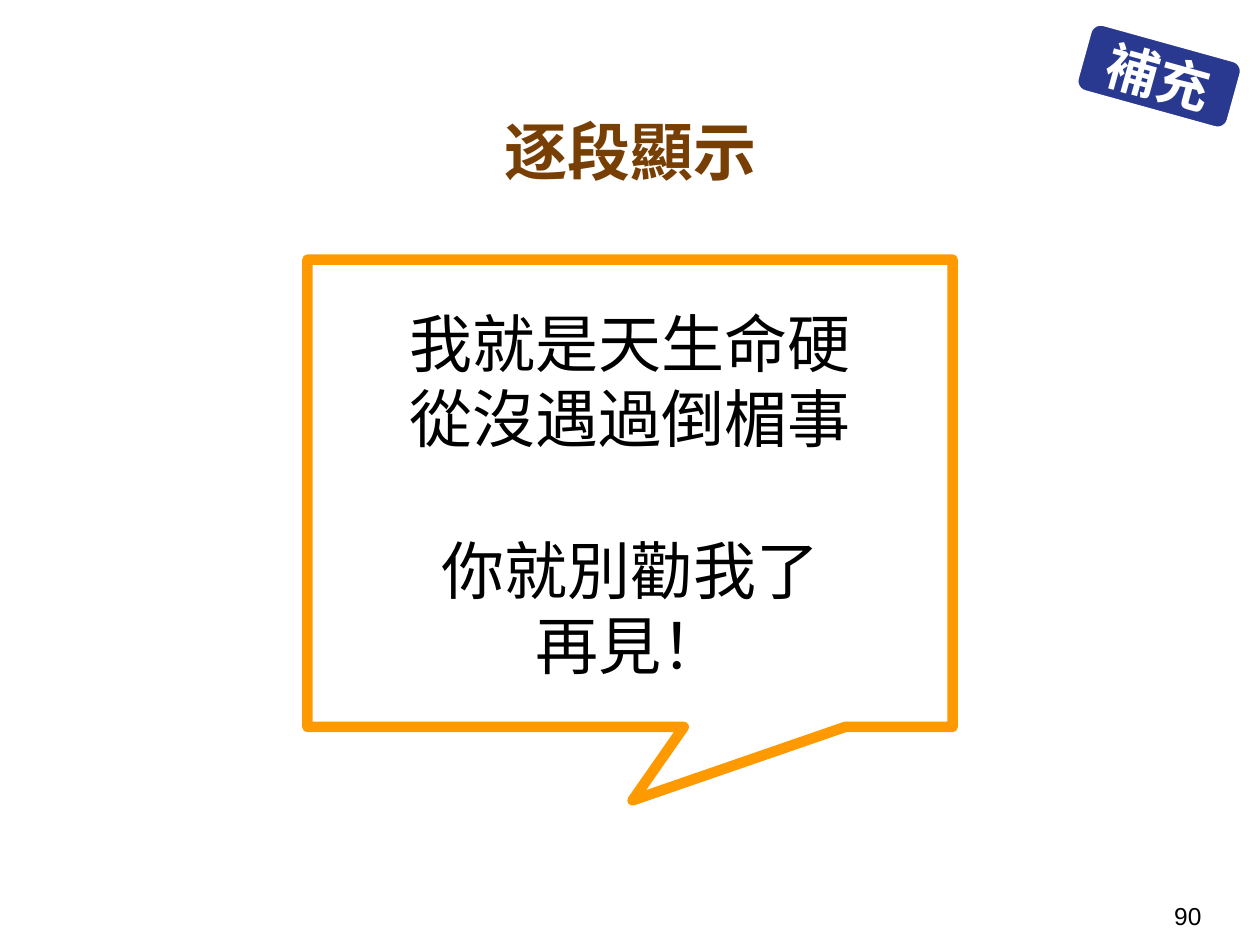
from dataclasses import dataclass

from lxml.etree import SubElement
from pptx import Presentation
from pptx.dml.color import RGBColor
from pptx.enum.shapes import MSO_SHAPE
from pptx.enum.text import MSO_ANCHOR, PP_ALIGN
from pptx.oxml.ns import qn
from pptx.util import Inches, Pt

TITLE = "逐段顯示"
BADGE = "補充"
PAGE_NUMBER = "90"
VERSES = [
    ["我就是天生命硬", "從沒遇過倒楣事"],
    ["你就別勸我了", "再見！"],
]


@dataclass(frozen=True)
class Theme:
    title_color: str = "783F04"
    badge_color: str = "2A3990"
    callout_color: str = "FF9900"
    white: str = "FFFFFF"
    black: str = "000000"
    body_font: str = "Arial"
    title_font: str = "Noto Sans CJK SC"
    large: int = 36
    badge: int = 30
    small: int = 14
    verse_gap: float = 43.2
    badge_line: int = 3
    callout_line: int = 6


THEME = Theme()
WIDTH, HEIGHT = 10, 7.5


def centered(width, top, height):
    return [Inches(value) for value in ((WIDTH - width) / 2, top, width, height)]


def prepare_frame(shape):
    frame = shape.text_frame
    frame.word_wrap = True
    frame.vertical_anchor = MSO_ANCHOR.MIDDLE
    frame.margin_left = frame.margin_right = Inches(0.1)
    frame.margin_top = frame.margin_bottom = Inches(0.1)
    return frame


def write(shape, text, size, color, font=THEME.body_font, bold=False,
          alignment=PP_ALIGN.CENTER):
    frame = prepare_frame(shape)
    frame.text = text
    for paragraph in frame.paragraphs:
        paragraph.alignment = alignment
        for run in paragraph.runs:
            run.font.size = Pt(size)
            run.font.bold = bold
            run.font.color.rgb = RGBColor.from_string(color)
            run.font.name = font
            SubElement(run.font._element, qn("a:ea")).set("typeface", font)
    return frame


def add_panel(slide, kind, box, fill, line, line_width):
    shape = slide.shapes.add_shape(kind, *box)
    shape.shadow.inherit = False
    shape.fill.solid()
    shape.fill.fore_color.rgb = RGBColor.from_string(fill)
    shape.line.color.rgb = RGBColor.from_string(line)
    shape.line.width = Pt(line_width)
    return shape


def add_callout(slide):
    callout = add_panel(slide, MSO_SHAPE.ROUNDED_RECTANGULAR_CALLOUT,
                        centered(5.12, 2.06, 3.71),
                        THEME.white, THEME.callout_color, THEME.callout_line)
    for index, adjustment in enumerate((0.004, 0.657, 0)):
        callout.adjustments[index] = adjustment
    text = "\n".join(line for verse in VERSES for line in verse)
    frame = write(callout, text, THEME.large, THEME.black)
    first_line = 0
    for verse in VERSES[:-1]:
        first_line += len(verse)
        frame.paragraphs[first_line].space_before = Pt(THEME.verse_gap)


def add_badge(slide):
    box = [Inches(value) for value in (8.57, 0.32, 1.26, 0.57)]
    badge = add_panel(slide, MSO_SHAPE.FLOWCHART_ALTERNATE_PROCESS, box,
                      THEME.badge_color, THEME.white, THEME.badge_line)
    badge.rotation = 15.5
    write(badge, BADGE, THEME.badge, THEME.white, bold=True)


def add_page_number(slide):
    width, height = 0.78, 0.46
    box = slide.shapes.add_textbox(Inches(WIDTH - width), Inches(HEIGHT - height),
                                   Inches(width), Inches(height))
    write(box, PAGE_NUMBER, THEME.small, THEME.black, alignment=PP_ALIGN.LEFT)


def main():
    presentation = Presentation()
    presentation.slide_width = Inches(WIDTH)
    presentation.slide_height = Inches(HEIGHT)
    slide = presentation.slides.add_slide(presentation.slide_layouts[6])
    title = slide.shapes.add_textbox(*centered(9.32, 0.75, 0.89))
    write(title, TITLE, THEME.large, THEME.title_color, THEME.title_font, bold=True)
    add_page_number(slide)
    add_badge(slide)
    add_callout(slide)
    presentation.save("out.pptx")


if __name__ == "__main__":
    main()
